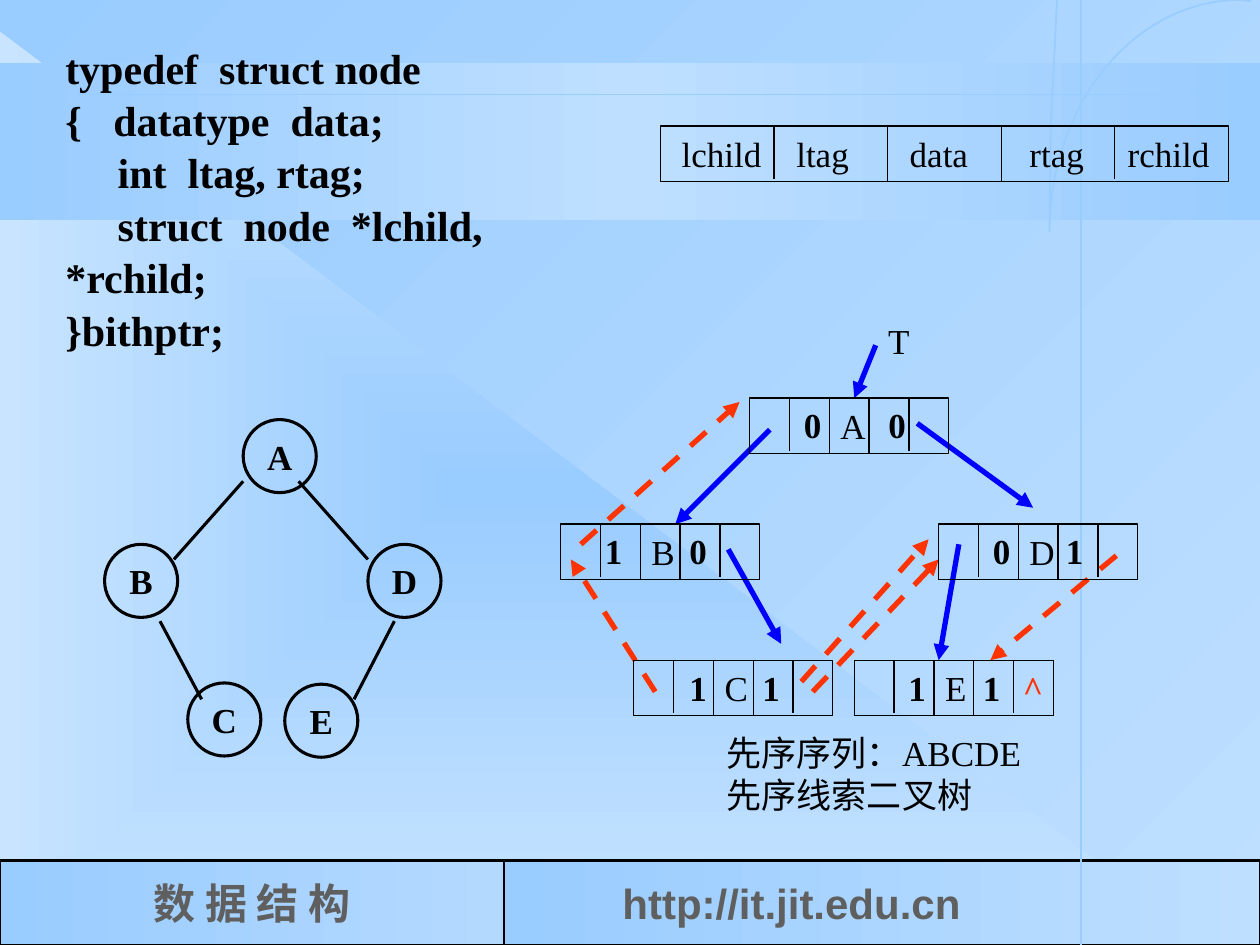
from dataclasses import dataclass
from math import cos, pi, sin

from lxml import etree
from pptx import Presentation
from pptx.dml.color import RGBColor
from pptx.enum.dml import MSO_LINE
from pptx.enum.shapes import MSO_CONNECTOR, MSO_SHAPE
from pptx.enum.text import MSO_ANCHOR, PP_ALIGN
from pptx.oxml.ns import qn
from pptx.util import Inches, Pt

COLOR = {"sky": "99CCFF", "pale": "BEDFFF", "mist": "C8E4FF", "haze": "B4D9FF",
         "black": "000000", "gray": "5F5F5F", "blue": "0000FF", "red": "FF3300"}
SERIF = "Times New Roman"


@dataclass
class Link:
    start: tuple[float, float]
    end: tuple[float, float]
    color: str = "black"
    width: float = 1.75
    dash: bool = False
    arrow: bool = False


@dataclass
class Record:
    text: str
    x: float
    y: float
    width: float = 1.58
    inset: float = 0.72
    tabs: tuple[float, ...] = ()


@dataclass
class Label:
    text: str
    x: float
    y: float
    color: str = "black"


def rgb(name: str) -> RGBColor:
    return RGBColor.from_string(COLOR[name])


def blend(fill, parent, names: list[str], angle: int | None = 0) -> None:
    """Gradient over evenly spaced colours; no angle means from the centre."""
    fill.solid()
    solid = parent.find(qn("a:solidFill"))
    grad = etree.Element(qn("a:gradFill"), rotWithShape="1")
    stops = etree.SubElement(grad, qn("a:gsLst"))
    for i, name in enumerate(names):
        stop = etree.SubElement(stops, qn("a:gs"), pos=str(100000 * i // (len(names) - 1)))
        etree.SubElement(stop, qn("a:srgbClr"), val=COLOR[name])
    if angle is None:
        path = etree.SubElement(grad, qn("a:path"), path="rect")
        etree.SubElement(path, qn("a:fillToRect"), l="50000", t="50000", r="50000", b="50000")
    else:
        etree.SubElement(grad, qn("a:lin"), ang=str(angle * 60000), scaled="0")
    parent.replace(solid, grad)


def draw_shape(slide, kind, x: float, y: float, w: float, h: float, border: float = 0):
    shape = slide.shapes.add_shape(kind, Inches(x), Inches(y), Inches(w), Inches(h))
    shape.shadow.inherit = False
    shape.fill.background()
    if border:
        shape.line.color.rgb = rgb("black")
        shape.line.width = Pt(border)
    else:
        shape.line.fill.background()
    return shape


def write(shape, text: str, size: int = 20, bold: bool = False, color: str = "black",
          font: str = SERIF, align=PP_ALIGN.LEFT, anchor=MSO_ANCHOR.MIDDLE,
          wrap: bool = True, inset: float = 0.1, tabs: tuple[float, ...] = (),
          gap: float | None = None) -> None:
    frame = shape.text_frame
    frame.text = text
    frame.word_wrap = wrap
    frame.vertical_anchor = anchor
    frame.margin_left = Inches(inset)
    for par in frame.paragraphs:
        par.alignment = align
        if gap:
            par.line_spacing = gap
        if tabs:
            group = etree.SubElement(par._p.get_or_add_pPr(), qn("a:tabLst"))
            for stop in tabs:
                etree.SubElement(group, qn("a:tab"), pos=str(Inches(stop)), algn="l")
        for run in par.runs:
            run.font.name = font
            run.font.size = Pt(size)
            run.font.bold = bold
            run.font.color.rgb = rgb(color)


def draw_link(slide, link: Link) -> None:
    ends = [Inches(v) for v in (*link.start, *link.end)]
    line = slide.shapes.add_connector(MSO_CONNECTOR.STRAIGHT, *ends)
    line.line.color.rgb = rgb(link.color)
    line.line.width = Pt(link.width)
    if link.dash:
        line.line.dash_style = MSO_LINE.DASH
    if link.arrow:
        etree.SubElement(line.line._get_or_add_ln(), qn("a:tailEnd"), type="triangle")
    etree.SubElement(line._element.spPr, qn("a:effectLst"))


def draw_record(slide, rec: Record) -> None:
    box = draw_shape(slide, MSO_SHAPE.RECTANGLE, rec.x, rec.y, rec.width, 0.44, 0.75)
    write(box, rec.text, inset=rec.inset, tabs=rec.tabs)
    for i in range(1, 5):
        x = rec.x + i * rec.width / 5
        tall = 0.44 if i in (2, 3) else 0.42
        draw_link(slide, Link((x, rec.y), (x, rec.y + tall), width=0.75))


def draw_text(slide, text: str, x: float, y: float, w: float, h: float, **style) -> None:
    box = slide.shapes.add_textbox(Inches(x), Inches(y), Inches(w), Inches(h))
    write(box, text, **style)


def draw_back(slide) -> None:
    blend(slide.background.fill, slide._element.find(".//" + qn("p:bgPr")), ["sky", "pale"], 45)
    wedge = draw_shape(slide, MSO_SHAPE.RIGHT_TRIANGLE, 0, 0.25, 9.58, 7.25)
    blend(wedge.fill, wedge._element.spPr, ["sky", "mist"], None)
    band = draw_shape(slide, MSO_SHAPE.RECTANGLE, 0, 0.5, 10, 1.25)
    blend(band.fill, band._element.spPr, ["sky", "pale", "sky"])
    # Footer
    course = draw_shape(slide, MSO_SHAPE.RECTANGLE, 0, 6.83, 4, 0.67, 1.5)
    blend(course.fill, course._element.spPr, ["sky", "haze"])
    write(course, "数 据 结 构", 24, True, "gray", align=PP_ALIGN.CENTER)
    site = draw_shape(slide, MSO_SHAPE.RECTANGLE, 4, 6.83, 6, 0.67, 1.5)
    blend(site.fill, site._element.spPr, ["sky", "pale"])
    write(site, "http://it.jit.edu.cn", 24, True, "gray", "Arial", inset=0.94)
    # Guide lines and arc
    draw_link(slide, Link((0, 0.75), (10, 0.75), "sky", 1))
    draw_link(slide, Link((8.58, 0), (8.58, 7.5), "sky", 1.5))
    turns = [pi + pi / 2 * i / 30 for i in range(31)]
    curve = [(9.84 + 1.51 * cos(t), 1.84 + 1.84 * sin(t)) for t in turns]
    points = [(Inches(x), Inches(y)) for x, y in [(8.34, 1), *curve, (9.93, 0.01)]]
    path = slide.shapes.build_freeform(Inches(8.39), 0)
    path.add_line_segments(points, close=False)
    arc = path.convert_to_shape()
    arc.shadow.inherit = False
    arc.fill.background()
    arc.line.color.rgb = rgb("sky")
    arc.line.width = Pt(1)


CODE = """typedef  struct node
{   datatype  data;
     int  ltag, rtag;
     struct  node  *lchild, *rchild;
}bithptr;"""
TREE = [Label("A", 1.93, 3.33), Label("B", 0.83, 4.32), Label("C", 1.49, 5.42),
        Label("D", 2.92, 4.32), Label("E", 2.26, 5.43)]
EDGES = [((1.93, 3.82), (1.38, 4.44)), ((2.37, 3.82), (2.92, 4.44)),
         ((1.27, 4.93), (1.6, 5.55)), ((3.13, 4.93), (2.81, 5.55))]
CHILD = [((6.11, 3.41), (5.36, 4.16)), ((7.28, 3.36), (8.2, 4.03)),
         ((5.78, 4.36), (6.2, 5.11)), ((7.61, 4.32), (7.45, 5.24)),
         ((6.95, 2.74), (6.78, 3.16))]
THREAD = [((4.61, 4.32), (5.87, 3.19)), ((5.2, 5.49), (4.53, 4.44)),
          ((6.36, 5.41), (7.37, 4.28)), ((8.86, 4.41), (7.86, 5.24)),
          ((6.45, 5.49), (7.45, 4.44))]
NODES = [Record("A", 5.95, 3.16), Record("B", 4.45, 4.16), Record("D", 7.45, 4.16),
         Record("C", 5.03, 5.24), Record("E", 6.78, 5.24)]
TAGS = [Label("0", 6.28, 3.15), Label("0", 6.95, 3.15),
        Label("1", 4.7, 4.15), Label("0", 5.37, 4.15),
        Label("0", 7.78, 4.15), Label("1", 8.36, 4.15),
        Label("1", 5.37, 5.24), Label("1", 5.95, 5.24),
        Label("1", 7.11, 5.24), Label("1", 7.7, 5.24), Label("^", 8.02, 5.24, "red")]
FIELDS = Record("lchild\tltag\tdata\trtag\trchild", 5.24, 1, 4.51, 0.17,
                (0.91, 1.81, 2.76, 3.54))


def main() -> None:
    deck = Presentation()
    deck.slide_width, deck.slide_height = Inches(10), Inches(7.5)
    slide = deck.slides.add_slide(deck.slide_layouts[6])
    draw_back(slide)
    # Plain binary tree
    for node in TREE:
        disc = draw_shape(slide, MSO_SHAPE.OVAL, node.x, node.y, 0.58, 0.58, 1.75)
        write(disc, node.text, bold=True, align=PP_ALIGN.CENTER, wrap=False)
    for start, end in EDGES:
        draw_link(slide, Link(start, end))
    # Threaded tree
    for start, end in CHILD:
        draw_link(slide, Link(start, end, "blue", 3, arrow=True))
    for start, end in THREAD:
        draw_link(slide, Link(start, end, "red", 3, dash=True, arrow=True))
    for rec in NODES:
        draw_record(slide, rec)
    for tag in TAGS:
        draw_text(slide, tag.text, tag.x, tag.y, 0.34, 0.44, bold=True, color=tag.color,
                  align=PP_ALIGN.CENTER, wrap=False)
    draw_text(slide, "T", 6.95, 2.49, 0.37, 0.44, anchor=MSO_ANCHOR.TOP)
    draw_text(slide, "先序序列：ABCDE\n先序线索二叉树", 5.67, 5.76, 2.6, 0.77,
              anchor=MSO_ANCHOR.TOP)
    # Type definition and its field layout
    draw_text(slide, CODE, 0.42, 0.27, 4.67, 2.5, size=24, bold=True,
              anchor=MSO_ANCHOR.TOP, gap=1.04)
    draw_record(slide, FIELDS)
    deck.save("out.pptx")


if __name__ == "__main__":
    main()
